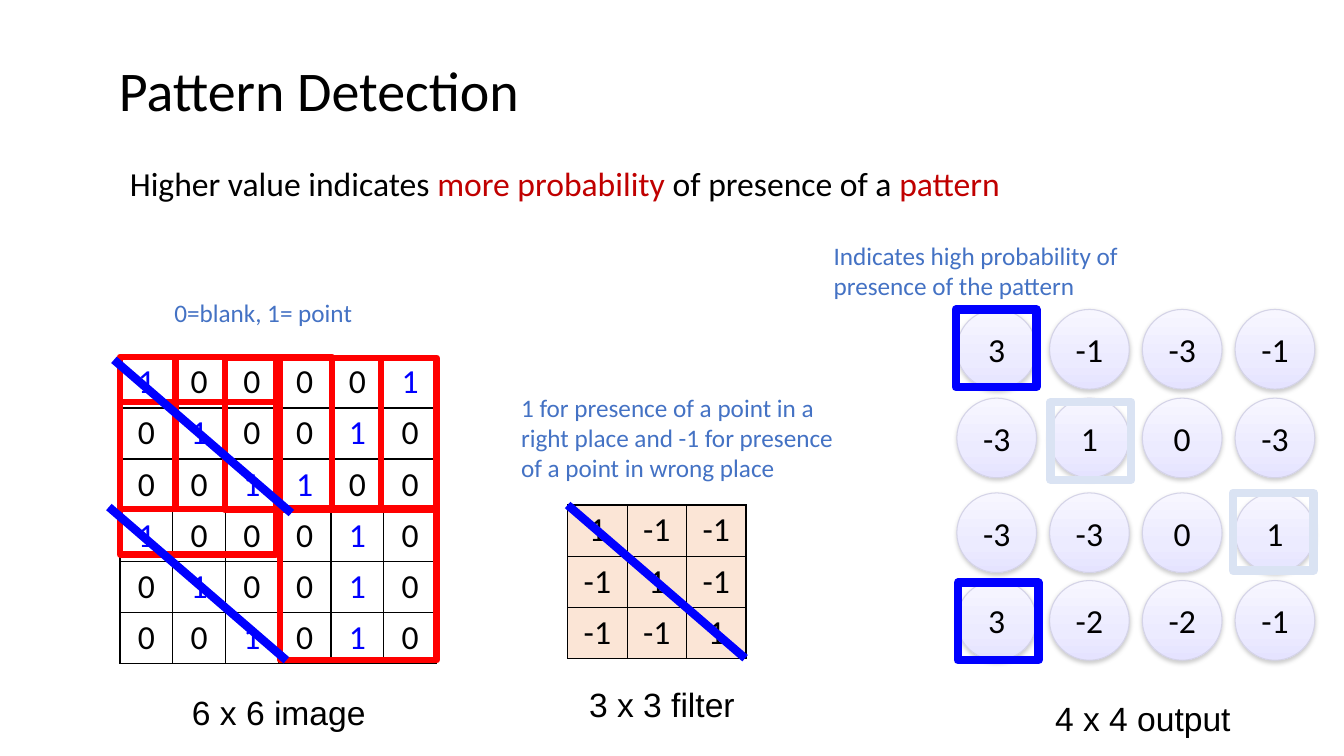
from pptx import Presentation
from pptx.dml.color import RGBColor
from pptx.enum.shapes import MSO_CONNECTOR as Connector, MSO_SHAPE as Shape
from pptx.enum.text import MSO_ANCHOR as Anchor, MSO_AUTO_SIZE as AutoSize, PP_ALIGN as Align
from pptx.oxml import parse_xml
from pptx.oxml.ns import nsdecls, qn
from pptx.util import Inches, Pt

BLACK, BLUE, RED, PALE = "000000", "0000FF", "FF0000", "DAE3F3"
NOTE_BLUE, DARK_RED, PEACH = "4472C4", "C00000", "FBE5D6"

IMAGE = ["100001", "010010", "001100", "100010", "010010", "001010"]
FILTER = [[1, -1, -1], [-1, 1, -1], [-1, -1, 1]]
OUTPUT = [[3, -1, -3, -1], [-3, 1, 0, -3], [-3, -3, 0, 1], [3, -2, -2, -1]]
OUTPUT_TOPS = [3.07, 3.95, 4.89, 5.76]

WINDOWS = [(1.19, 3.54), (1.74, 3.54), (2.23, 3.55), (2.78, 3.55), (1.19, 3.99), (2.78, 5.04)]
HIGHLIGHTS = [(9.48, 3.07, BLUE), (9.5, 5.78, BLUE), (10.42, 3.99, PALE), (12.23, 4.89, PALE)]
DIAGONALS = [(5.63, 5.01), (1.13, 3.57), (1.08, 5.03)]
CAPTIONS = [(1.48, 6.82, "6 x 6 image"), (5.28, 6.74, "3 x 3 filter"), (10.05, 6.87, "4 x 4 output")]
NOTES = [
    ((8.17, 2.33, 3.77, 0.71), "Indicates high probability of presence of the pattern"),
    ((5.07, 3.84, 3.47, 1.01),
     "1 for presence of a point in a right place and -1 for presence of a point in wrong place"),
    ((1.63, 2.9, 2.15, 0.41), "0=blank, 1= point"),
]


def rgb(color):
    return RGBColor.from_string(color)


def set_all(target, values):
    for name, value in values.items():
        setattr(target, name, value)


def write(paragraph, runs, size=24, font="Calibri", align=Align.LEFT):
    """Fill a paragraph with (text, colour) runs."""
    paragraph.alignment = align
    for text, color in runs:
        run = paragraph.add_run()
        run.text = text
        set_all(run.font, {"size": Pt(size), "name": font})
        run.font.color.rgb = rgb(color)


def add_title(slide, text):
    title = slide.shapes.title
    set_all(title, {"left": Inches(1.08), "top": Inches(0.2),
                    "width": Inches(9.85), "height": Inches(1.45)})
    set_all(title.text_frame, {"vertical_anchor": Anchor.MIDDLE, "auto_size": AutoSize.NONE})
    paragraph = title.text_frame.paragraphs[0]
    paragraph.line_spacing = 0.9
    write(paragraph, [(text, BLACK)], size=40)


def add_text(slide, box, runs, **text_format):
    frame = slide.shapes.add_textbox(*map(Inches, box)).text_frame
    set_all(frame, {"word_wrap": True, "auto_size": AutoSize.SHAPE_TO_FIT_TEXT})
    write(frame.paragraphs[0], runs, **text_format)


def add_cell_borders(cell):
    properties = cell._tc.get_or_add_tcPr()
    for side in "LRTB":
        properties.append(parse_xml(
            f'<a:ln{side} {nsdecls("a")} w="{Pt(1)}"><a:solidFill>'
            f'<a:srgbClr val="{BLACK}"/></a:solidFill></a:ln{side}>'))


def add_grid(slide, left, top, width, values, one_color, fill=None):
    count = len(values)
    table = slide.shapes.add_table(count, count, Inches(left), Inches(top),
                                   Inches(width), Inches(0.5 * count)).table
    set_all(table, {"first_row": False, "horz_banding": False})
    for row, row_values in enumerate(values):
        for column, value in enumerate(row_values):
            cell = table.cell(row, column)
            color = one_color if str(value) == "1" else BLACK
            write(cell.text_frame.paragraphs[0], [(str(value), color)], align=Align.CENTER)
            add_cell_borders(cell)
            if fill:
                cell.fill.solid()
                cell.fill.fore_color.rgb = rgb(fill)
            else:
                cell.fill.background()


def add_outlined(slide, kind, box, color, weight):
    """Add an unfilled shape with a plain outline."""
    shape = slide.shapes.add_shape(kind, *map(Inches, box))
    shape.shadow.inherit = False
    shape.fill.background()
    shape.line.color.rgb = rgb(color)
    shape.line.width = Pt(weight)
    return shape


def add_output_circle(slide, left, top, value):
    circle = add_outlined(slide, Shape.OVAL, (left, top, 0.79, 0.79), "D4D3E7", 0.75)
    circle.fill.gradient()
    circle.fill.gradient_angle = 270
    properties = circle._element.spPr
    stops = properties.find(".//" + qn("a:gsLst"))
    for stop in list(stops):
        stops.remove(stop)
    for position, color in [(0, "F7F6FF"), (65, "ECEBFF"), (100, "E5E3FF")]:
        stops.append(parse_xml(f'<a:gs {nsdecls("a")} pos="{position * 1000}">'
                               f'<a:srgbClr val="{color}"/></a:gs>'))
    properties.find(qn("a:effectLst")).append(parse_xml(
        f'<a:outerShdw {nsdecls("a")} blurRad="{Pt(3.1)}" dist="{Pt(1.6)}" dir="5400000" '
        'rotWithShape="0"><a:srgbClr val="808080"><a:alpha val="38000"/></a:srgbClr></a:outerShdw>'))
    frame = circle.text_frame
    set_all(frame, {"vertical_anchor": Anchor.MIDDLE, "margin_left": 0, "margin_right": 0})
    write(frame.paragraphs[0], [(str(value), BLACK)], align=Align.CENTER)


def add_diagonal(slide, left, top):
    line = slide.shapes.add_connector(Connector.STRAIGHT, Inches(left), Inches(top),
                                      Inches(left + 1.76), Inches(top + 1.52))
    line.line.color.rgb = rgb(BLUE)
    line.line.width = Pt(6)
    line._element.spPr.append(parse_xml(f'<a:effectLst {nsdecls("a")}/>'))


def main():
    presentation = Presentation()
    set_all(presentation, {"slide_width": Inches(13.33), "slide_height": Inches(7.5)})
    slide = presentation.slides.add_slide(presentation.slide_layouts[5])

    add_title(slide, "Pattern Detection")
    add_grid(slide, 1.19, 3.54, 3.14, IMAGE, BLUE)
    add_grid(slide, 5.63, 5.01, 1.77, FILTER, BLACK, PEACH)
    for top, values in zip(OUTPUT_TOPS, OUTPUT):
        for column, value in enumerate(values):
            add_output_circle(slide, 9.49 + 0.92 * column, top, value)
    for left, top in WINDOWS:
        add_outlined(slide, Shape.RECTANGLE, (left, top, 1.55, 1.51), RED, 4.5)
    for left, top in DIAGONALS:
        add_diagonal(slide, left, top)
    for left, top, color in HIGHLIGHTS:
        add_outlined(slide, Shape.RECTANGLE, (left, top, 0.8, 0.77), color, 6)
    for left, top, text in CAPTIONS:
        add_text(slide, (left, top, 2.57, 0.5), [(text, BLACK)], font="Arial", align=Align.CENTER)
    for box, text in NOTES:
        add_text(slide, box, [(text, NOTE_BLUE)], size=18)
    add_text(slide, (1.19, 1.57, 10.57, 0.5), [
        ("Higher value indicates ", BLACK), ("more probability ", DARK_RED),
        ("of presence of a ", BLACK), ("pattern", DARK_RED)])

    presentation.save("out.pptx")


if __name__ == "__main__":
    main()
